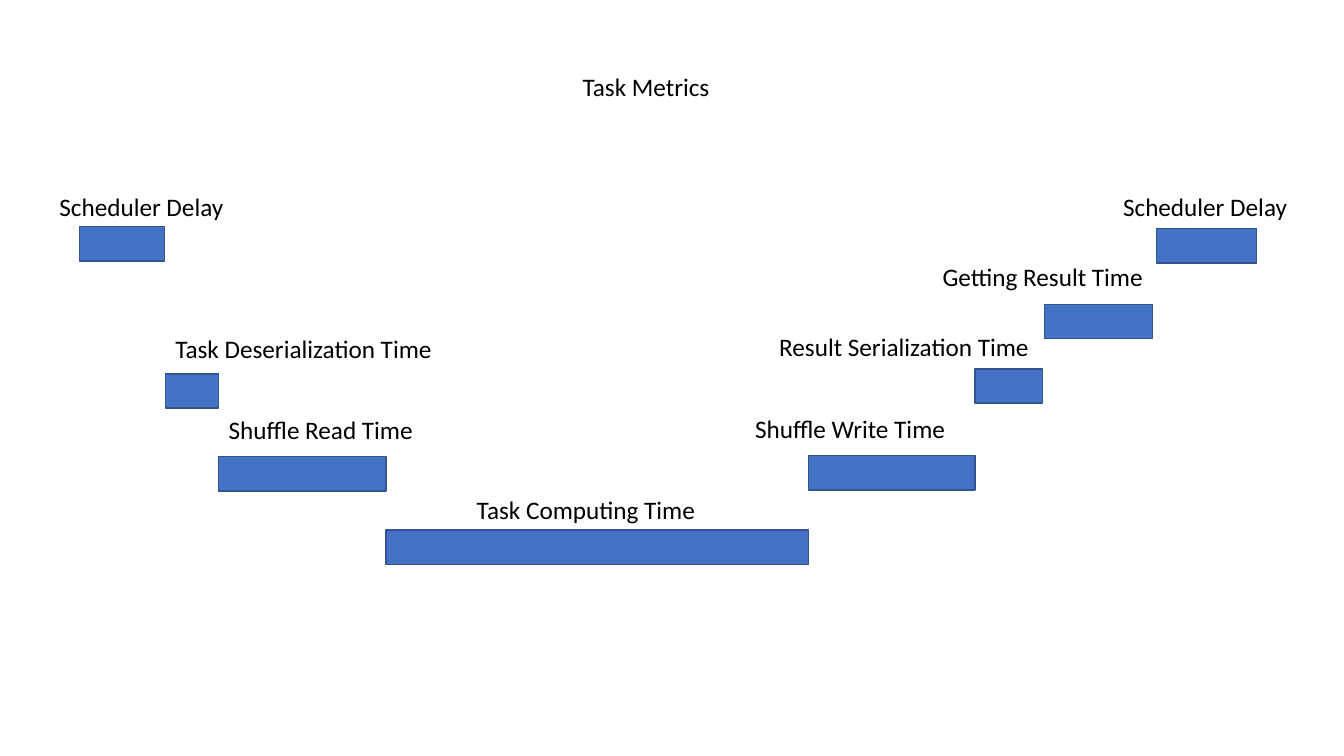
from pptx import Presentation
from pptx.dml.color import RGBColor
from pptx.enum.shapes import MSO_SHAPE
from pptx.enum.text import MSO_AUTO_SIZE
from pptx.util import Inches, Pt

RECTANGLE = MSO_SHAPE.RECTANGLE
FIT_SHAPE = MSO_AUTO_SIZE.SHAPE_TO_FIT_TEXT

COLORS = {"bar": "4472C4", "outline": "325491", "text": "000000"}
FONT = {"name": "Calibri", "size": Pt(18)}

TITLE = ("Task Metrics", 5.68, 0.66, 1.47)

# Stages in time order: name, bar top, bar length, gap after the bar,
# label shift from bar left, label rise above bar top, label width
STAGES = [
    ("Scheduler Delay", 2.25, 0.84, 0.01, -0.30, 0.40, 1.85),
    ("Task Deserialization Time", 3.71, 0.53, 0, 0, 0.45, 2.77),
    ("Shuffle Read Time", 4.53, 1.66, 0, 0, 0.47, 2.06),
    ("Task Computing Time", 5.26, 4.19, 0, 0.80, 0.40, 2.39),
    ("Shuffle Write Time", 4.52, 1.65, 0, -0.63, 0.47, 2.11),
    ("Result Serialization Time", 3.66, 0.67, 0.02, -2.04, 0.42, 2.70),
    ("Getting Result Time", 3.02, 1.07, 0.04, -1.11, 0.48, 2.22),
    ("Scheduler Delay", 2.27, 0.99, 0, -0.43, 0.42, 1.85),
]
TIMELINE_START = 0.79
BAR_HEIGHT = 0.34
LABEL_HEIGHT = 0.4


def color(name):
    """Return the named palette colour."""
    return RGBColor.from_string(COLORS[name])


def add_label(page, text, left, top, width):
    """Add a one-line text label."""
    box = page.shapes.add_textbox(*map(Inches, (left, top, width, LABEL_HEIGHT)))
    frame = box.text_frame
    frame.word_wrap = False
    frame.auto_size = FIT_SHAPE
    span = frame.paragraphs[0].add_run()
    span.text = text
    for key, value in FONT.items():
        setattr(span.font, key, value)
    span.font.color.rgb = color("text")


def add_bar(page, left, top, length):
    """Add the bar that shows how long a stage lasts."""
    bar = page.shapes.add_shape(
        RECTANGLE, *map(Inches, (left, top, length, BAR_HEIGHT)))
    bar.shadow.inherit = False
    bar.fill.solid()
    bar.fill.fore_color.rgb = color("bar")
    bar.line.color.rgb = color("outline")
    bar.line.width = Pt(1)


def add_stages(page):
    """Lay the stages end to end along the timeline."""
    left = TIMELINE_START
    for name, top, length, gap, shift, rise, label_width in STAGES:
        add_bar(page, left, top, length)
        add_label(page, name, left + shift, top - rise, label_width)
        left += length + gap


deck = Presentation()
deck.slide_width, deck.slide_height = Inches(13.33), Inches(7.5)
page = deck.slides.add_slide(deck.slide_layouts[6])
add_label(page, *TITLE)
add_stages(page)
deck.save("out.pptx")
